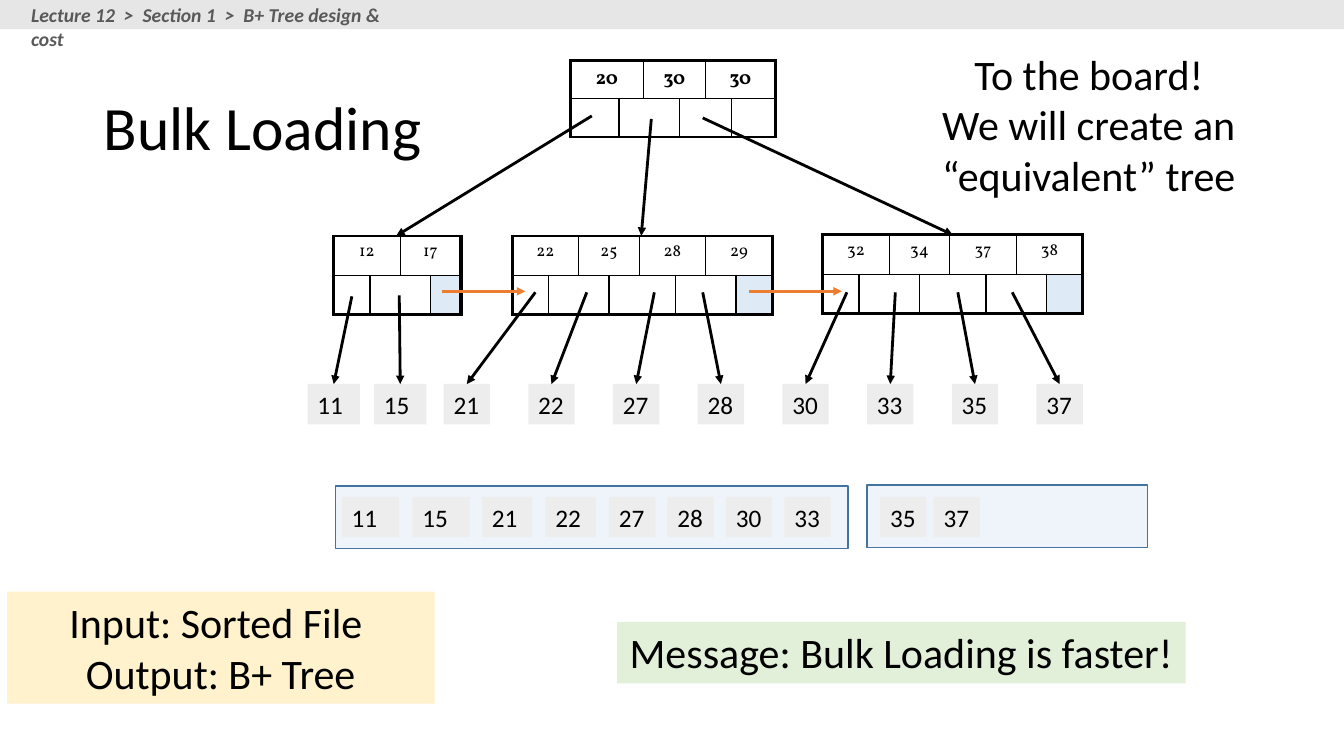
import pptx
import pptx.util
import pptx.dml.color
import pptx.enum.shapes
import pptx.enum.text
import pptx.oxml
import pptx.oxml.ns
from lxml import etree

PX = 9144  # 100 px to the inch
RGB = pptx.dml.color.RGBColor
BLACK = RGB(0x00, 0x00, 0x00)
DARK_GREY = RGB(0x59, 0x59, 0x59)
BAR_GREY = RGB(0xE7, 0xE6, 0xE6)
RECORD_GREY = RGB(0xED, 0xED, 0xED)
PALE_BLUE = RGB(0xDE, 0xEB, 0xF7)
EDGE_BLUE = RGB(0x43, 0x73, 0x9E)
ORANGE = RGB(0xED, 0x7D, 0x31)
CREAM = RGB(0xFF, 0xF2, 0xCC)
PALE_GREEN = RGB(0xE2, 0xF0, 0xD9)
LEFT, CENTER = pptx.enum.text.PP_ALIGN.LEFT, pptx.enum.text.PP_ALIGN.CENTER
RECTANGLE = pptx.enum.shapes.MSO_SHAPE.RECTANGLE
STRAIGHT = pptx.enum.shapes.MSO_CONNECTOR.STRAIGHT
qn = pptx.oxml.ns.qn

deck = pptx.Presentation()
deck.slide_width, deck.slide_height = 1333 * PX, 750 * PX
slide = deck.slides.add_slide(deck.slide_layouts[5])
shapes = slide.shapes


def add_label(text, box, size, fill=None, align=LEFT, color=BLACK):
    label = shapes.add_textbox(*[n * PX for n in box])
    if fill is not None:
        label.fill.solid()
        label.fill.fore_color.rgb = fill
    label.text_frame.word_wrap = True
    label.text_frame.text = text
    for paragraph in label.text_frame.paragraphs:
        paragraph.alignment = align
        font = paragraph.runs[0].font
        font.name, font.size, font.color.rgb = "Calibri", pptx.util.Pt(size), color
    return label


def add_arrow(x1, y1, x2, y2, color=BLACK):
    arrow = shapes.add_connector(STRAIGHT, x1 * PX, y1 * PX, x2 * PX, y2 * PX)
    arrow.line.color.rgb = color
    arrow.line.width = pptx.util.Pt(2)
    etree.SubElement(arrow.line._get_or_add_ln(), qn("a:tailEnd"), type="triangle")
    etree.SubElement(arrow._element.spPr, qn("a:effectLst"))
    return arrow


# Title
title = shapes.title
title.left, title.top, title.width, title.height = [n * PX for n in (93, 67, 850, 125)]
title.text_frame.text = "Bulk Loading"
title.text_frame.vertical_anchor = pptx.enum.text.MSO_ANCHOR.MIDDLE
heading = title.text_frame.paragraphs[0]
heading.alignment, heading.line_spacing = LEFT, 0.9
heading_font = heading.runs[0].font
heading_font.name, heading_font.size = "Calibri", pptx.util.Pt(44)
heading_font.color.rgb = BLACK

# Header bar and the two pages of the sorted file
for box, fill, edge in (
    ((0, 0, 1333, 29), BAR_GREY, None),
    ((860, 481, 278, 62), PALE_BLUE, EDGE_BLUE),
    ((333, 482, 508, 62), PALE_BLUE, EDGE_BLUE),
):
    panel = shapes.add_shape(RECTANGLE, *[n * PX for n in box])
    panel.shadow.inherit = False
    panel.fill.solid()
    panel.fill.fore_color.rgb = fill
    if edge is None:
        panel.line.fill.background()
    else:
        panel.line.color.rgb = edge
        panel.line.width = pptx.util.Pt(1)
        tint = panel._element.spPr.find(qn("a:solidFill"))[0]
        etree.SubElement(tint, qn("a:alpha"), val="51000")

breadcrumb = add_label("Lecture 12  >  Section 1  >  B+ Tree design & cost",
                       (21, -2, 397, 34), 14, color=DARK_GREY)
breadcrumb_font = breadcrumb.text_frame.paragraphs[0].runs[0].font
breadcrumb_font.bold = breadcrumb_font.italic = True

# Tree nodes: keys span column pairs, pointers sit half a key to the side
LEAF_COLUMNS = (36, 30, 30, 30, 36, 30, 30, 36)
for left, top, columns, row_height, keys, size, is_leaf, right_edge in (
    (566, 60, (48, 21, 36, 26, 26, 43), 38, ("20", "30", "30"), 14, False, 2.25),
    (508, 234, LEAF_COLUMNS, 39, ("22", "25", "28", "29"), 12, True, 2.25),
    (816, 233, LEAF_COLUMNS, 39, ("32", "34", "37", "38"), 12, True, 2.25),
    (331, 234, LEAF_COLUMNS[:4], 39, ("12", "17"), 12, True, 3),
):
    last = len(columns) - 1
    node = shapes.add_table(2, len(columns), left * PX, top * PX,
                            sum(columns) * PX, 2 * row_height * PX).table
    node.first_row = node.horz_banding = False
    node._tbl.tblPr.find(qn("a:tableStyleId")).text = "{2D5ABB26-0587-4C30-8999-92F81FD0307C}"
    for column, width in zip(node.columns, columns):
        column.width = width * PX
    for row in node.rows:
        row.height = row_height * PX

    key_spans = [(0, i, i + 1, key) for i, key in zip(range(0, last, 2), keys)]
    inner_spans = [(1, i, i + 1, "") for i in range(1, last, 2)]
    for row, start, end, key in key_spans + [(1, 0, 0, "")] + inner_spans + [(1, last, last, "")]:
        cell = node.cell(row, start)
        if end > start:
            cell.merge(node.cell(row, end))
        cell.margin_bottom = 0
        paragraph = cell.text_frame.paragraphs[0]
        if key:
            paragraph.text = key
            paragraph.alignment = CENTER
            paragraph.space_before = pptx.util.Pt(round(size * 0.2, 1))
            font = paragraph.runs[0].font
            font.name, font.size, font.bold = "Vollkorn", pptx.util.Pt(size), not is_leaf
            font.color.rgb = BLACK
        else:
            paragraph._p.get_or_add_endParaRPr().set("sz", str(size * 100))
        for side, weight in (
            ("lnL", 2.25 if start == 0 else 1),
            ("lnR", right_edge if end == last else 1),
            ("lnT", 2.25 if row == 0 else 1),
            ("lnB", 2.25 if row == 1 else 1),
        ):
            border = etree.SubElement(cell._tc.get_or_add_tcPr(), qn("a:" + side),
                                      w=str(int(weight * 12700)))
            ink = etree.SubElement(border, qn("a:solidFill"))
            etree.SubElement(ink, qn("a:srgbClr"), val=str(BLACK))
        if is_leaf and row == 1 and start == last:
            cell.fill.solid()
            cell.fill.fore_color.rgb = PALE_BLUE
        else:
            cell.fill.background()

# Root to leaves, then leaf to next leaf
for ends in ((587, 115, 393, 234), (646, 118, 636, 234), (697, 117, 945, 233)):
    add_arrow(*ends)
for x1, x2 in ((438, 521), (743, 835)):
    add_arrow(x1, 289, x2, 289, ORANGE)

# Records under the leaves
records = [("11", 305, 52, 349, 294), ("15", 371, 52, 396, 293)]
pointers = (("21", 531), ("22", 582), ("27", 649), ("28", 697),
            ("30", 840), ("33", 888), ("35", 950), ("37", 1004))
records += [(key, 440 + 84 * i, 46, x, 290) for i, (key, x) in enumerate(pointers)]
for key, left, width, x, y in records:
    record = add_label(key, (left, 381, width, 40), 18, RECORD_GREY)
    add_arrow(x, y, left + width // 2, 381).end_connect(record, 0)

# Records in the sorted file
for key, left, width in (
    ("11", 339, 57), ("15", 409, 57), ("21", 478, 50), ("22", 541, 50), ("27", 604, 46),
    ("28", 662, 46), ("30", 720, 46), ("33", 778, 46), ("35", 873, 46), ("37", 926, 46),
):
    add_label(key, (left, 493, width, 40), 18, RECORD_GREY)

# Remarks
add_label("Input: Sorted File \nOutput: B+ Tree", (7, 587, 424, 111), 30, CREAM, CENTER)
add_label("To the board!\nWe will create an “equivalent” tree", (864, 43, 432, 162), 30,
          align=CENTER)
add_label("Message: Bulk Loading is faster!", (612, 617, 564, 61), 30, PALE_GREEN, CENTER)

deck.save("out.pptx")
